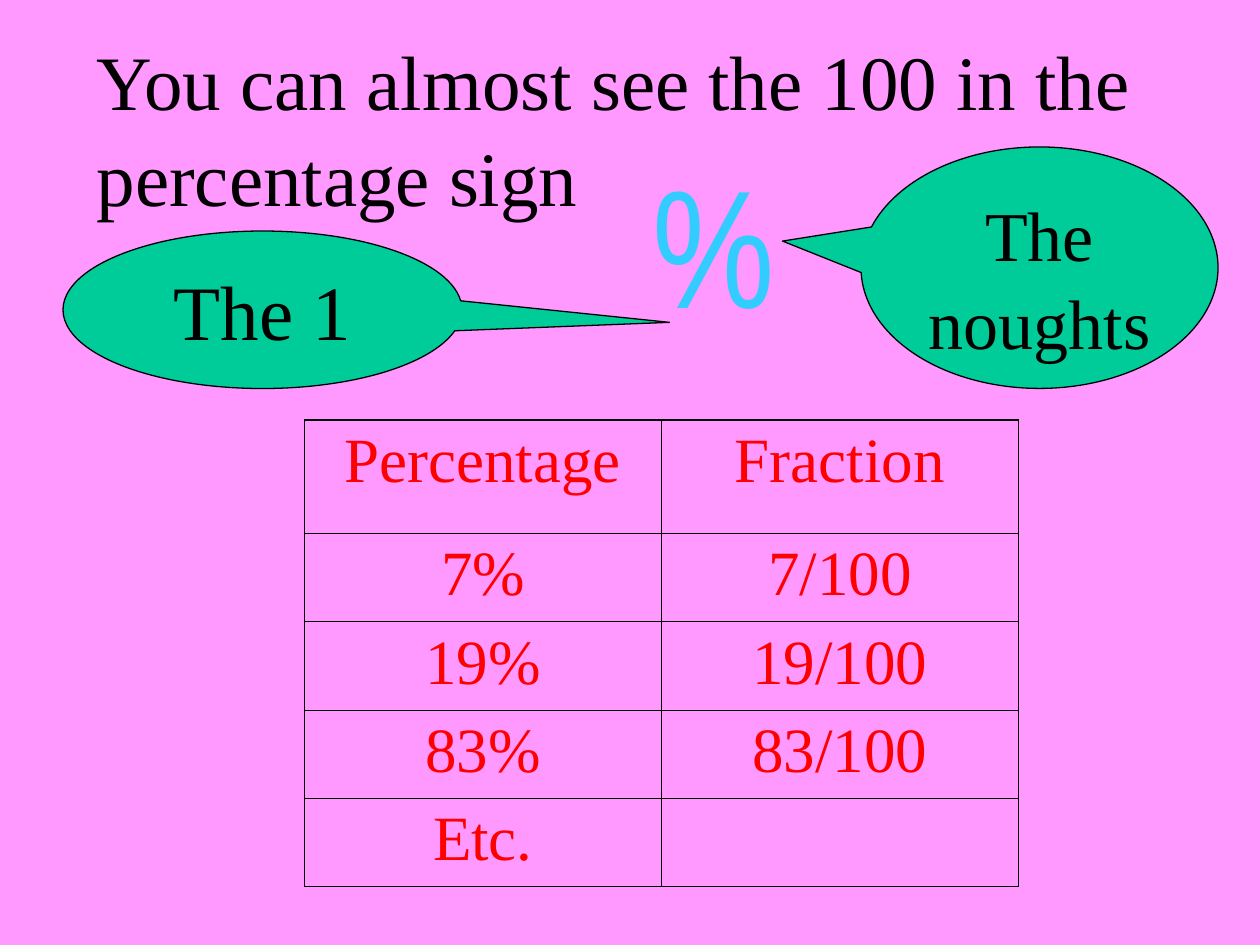
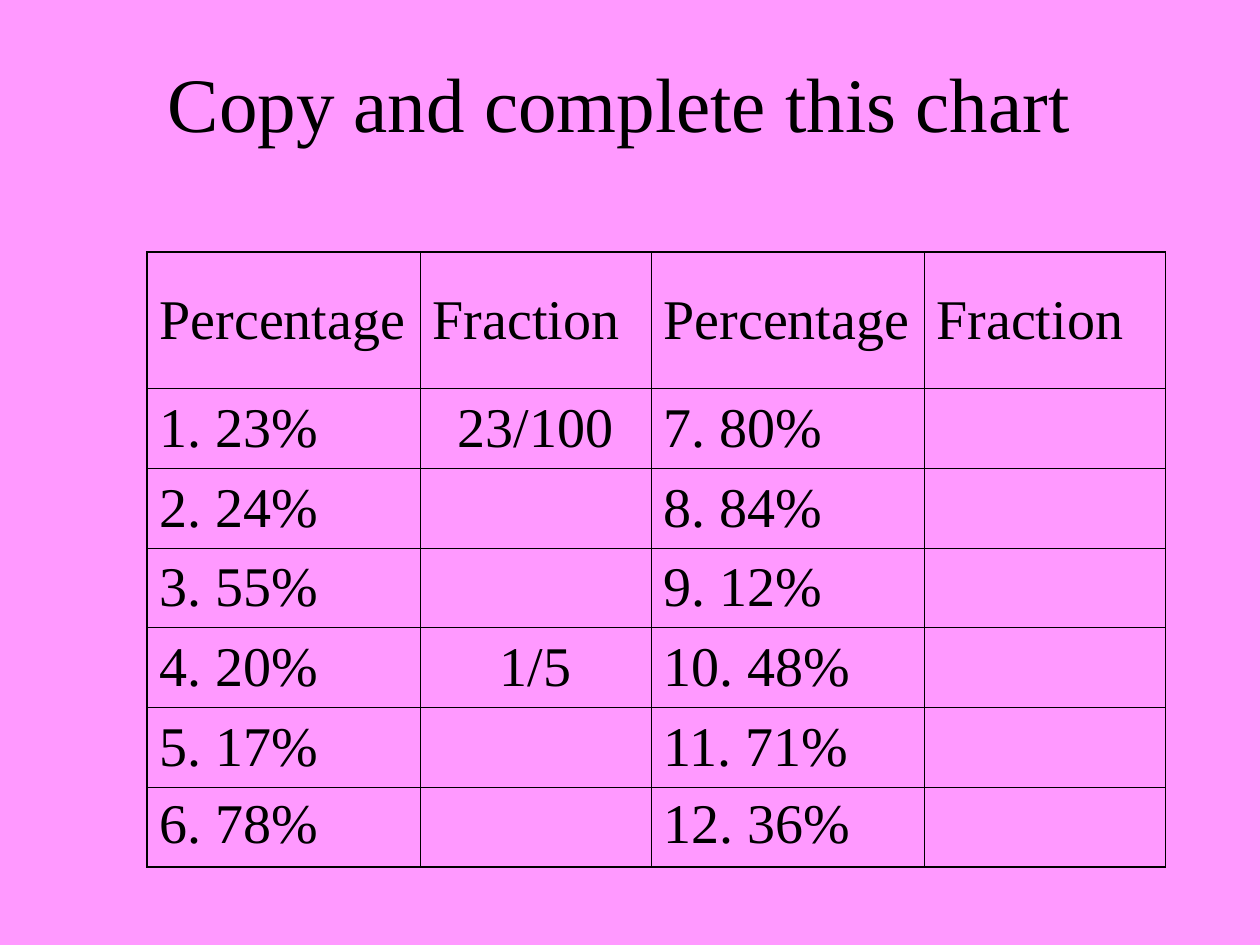
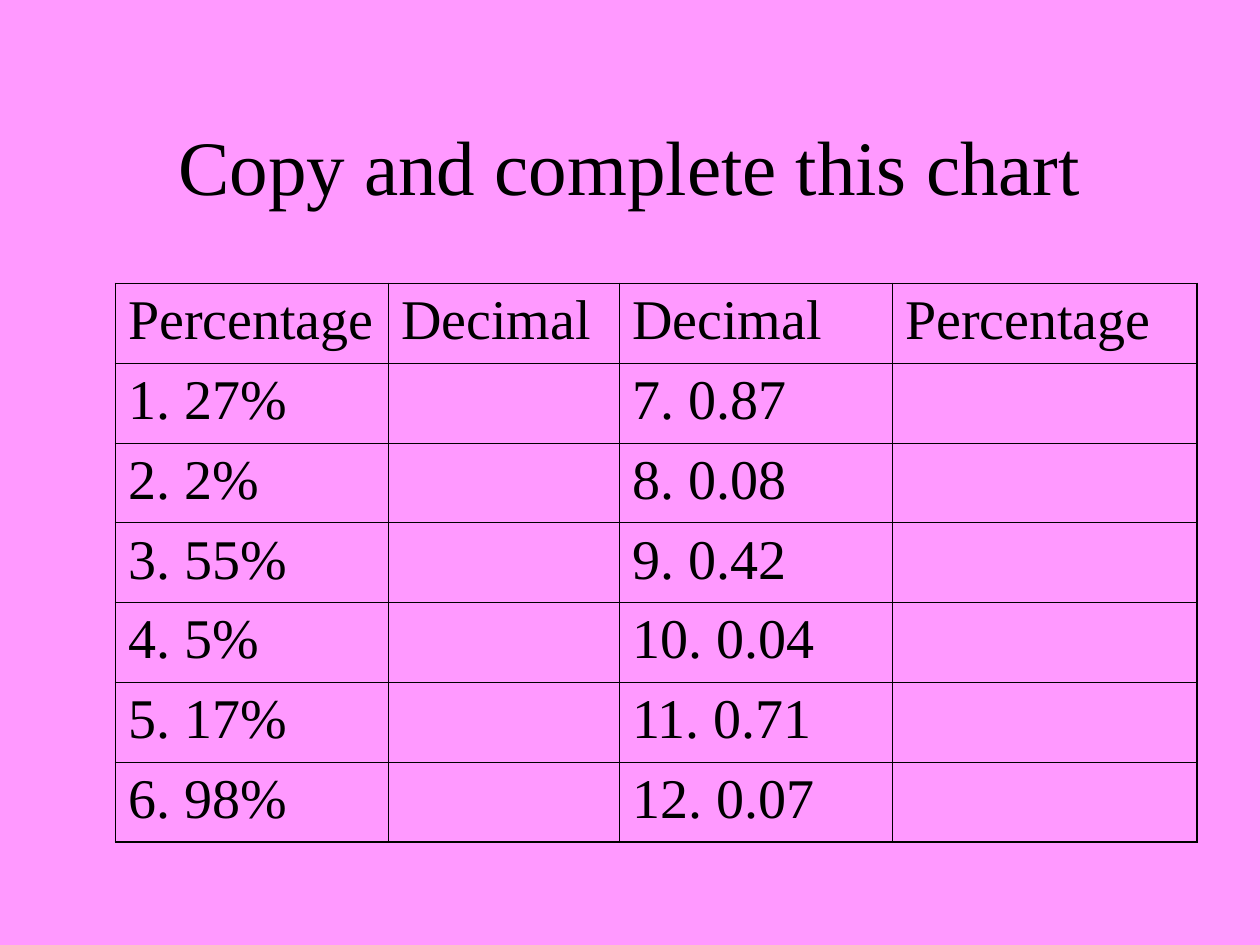
from dataclasses import dataclass

from lxml.etree import SubElement
from pptx import Presentation
from pptx.dml.color import RGBColor
from pptx.enum.shapes import MSO_SHAPE
from pptx.enum.text import MSO_ANCHOR, MSO_AUTO_SIZE, PP_ALIGN
from pptx.oxml.ns import qn
from pptx.util import Emu, Pt

EMU_PER_PX = 7620


@dataclass(frozen=True)
class Theme:
    background: str = "FF99FF"
    ink: str = "000000"
    callout: str = "00CC99"
    sign: str = "33CCFF"
    sign_edge: str = "000099"
    example: str = "FF0000"
    serif: str = "Times New Roman"
    narrow: str = "Arial Narrow"
    title_size: int = 44
    callout_size: int = 40
    sign_size: int = 96
    example_size: int = 36
    exercise_size: int = 32
    line_spacing: float = 1.04
    outer_rule: float = 1.08
    inner_rule: float = 0.45
    callout_rule: float = 0.75


def px(length):
    return Emu(length * EMU_PER_PX)


def apply(target, values):
    for name, value in values.items():
        setattr(target, name, value)


def add_line(parent, tag, width, color):
    line = SubElement(parent, qn(tag), w=str(Pt(width)))
    fill = SubElement(line, qn("a:solidFill"))
    SubElement(fill, qn("a:srgbClr"), val=color)
    return line


class LessonDeck:
    """Builds the lesson slides in one shared style."""

    def __init__(self, theme):
        self.theme = theme
        self.deck = Presentation()
        apply(self.deck, {"slide_width": px(1200), "slide_height": px(900)})
        fill = self.deck.slide_master.background.fill
        fill.solid()
        fill.fore_color.rgb = RGBColor.from_string(theme.background)
        self.page = None

    def add_text(self, frame, text, size, color=None, face=None,
                 align=PP_ALIGN.CENTER, spacing=None):
        para = frame.paragraphs[0]
        apply(para, {"alignment": align, "line_spacing": spacing})
        span = para.add_run()
        span.text = text
        apply(span.font, {"size": Pt(size), "name": face or self.theme.serif})
        span.font.color.rgb = RGBColor.from_string(color or self.theme.ink)
        return span

    def add_page(self, title, place, align=PP_ALIGN.CENTER):
        self.page = self.deck.slides.add_slide(self.deck.slide_layouts[5])
        box = self.page.shapes.title
        apply(box, dict(zip(("left", "top", "width", "height"), map(px, place))))
        apply(box.text_frame, {"word_wrap": True, "auto_size": MSO_AUTO_SIZE.NONE,
                               "vertical_anchor": MSO_ANCHOR.MIDDLE})
        self.add_text(box.text_frame, title, self.theme.title_size, align=align,
                      spacing=self.theme.line_spacing)

    def add_sign(self, text, place):
        theme = self.theme
        box = self.page.shapes.add_textbox(*map(px, place))
        box.text_frame.word_wrap = False
        span = self.add_text(box.text_frame, text, theme.sign_size, theme.sign,
                             theme.narrow, spacing=theme.line_spacing)
        properties = span.font._element
        properties.insert(0, add_line(properties, "a:ln", 1, theme.sign_edge))

    def add_callout(self, text, place, pointer, size):
        theme = self.theme
        box = self.page.shapes.add_shape(MSO_SHAPE.OVAL_CALLOUT, *map(px, place))
        box.shadow.inherit = False
        for index, value in enumerate(pointer):
            box.adjustments[index] = value
        box.fill.solid()
        box.fill.fore_color.rgb = RGBColor.from_string(theme.callout)
        box.line.color.rgb = RGBColor.from_string(theme.ink)
        box.line.width = Pt(theme.callout_rule)
        apply(box.text_frame, {"word_wrap": True, "vertical_anchor": MSO_ANCHOR.TOP})
        self.add_text(box.text_frame, text, size, spacing=theme.line_spacing)

    def add_grid(self, corner, widths, heights, rows, size, color=None,
                 align_for=None, anchor_for=None):
        place = (*corner, sum(widths), sum(heights))
        table = self.page.shapes.add_table(len(rows), len(widths), *map(px, place)).table
        apply(table, {"first_row": False, "horz_banding": False})
        for column, width in zip(table.columns, widths):
            column.width = px(width)
        for row, height in zip(table.rows, heights):
            row.height = px(height)
        last_row, last_column = len(rows) - 1, len(widths) - 1
        for r, texts in enumerate(rows):
            for c, text in enumerate(texts):
                cell = table.cell(r, c)
                cell.vertical_anchor = anchor_for(r) if anchor_for else MSO_ANCHOR.TOP
                self.rule_cell(cell, {"L": c == 0, "R": c == last_column,
                                      "T": r == 0, "B": r == last_row})
                cell.fill.background()
                if text:
                    align = align_for(r, c) if align_for else PP_ALIGN.LEFT
                    self.add_text(cell.text_frame, text, size, color, align=align)

    def rule_cell(self, cell, outer_sides):
        properties = cell._tc.get_or_add_tcPr()
        for side, outer in outer_sides.items():
            width = self.theme.outer_rule if outer else self.theme.inner_rule
            add_line(properties, f"a:ln{side}", width, self.theme.ink)


def add_percentage_sign(lesson):
    theme = lesson.theme
    lesson.add_page("You can almost see the 100 in the percentage sign",
                    (80, 40, 1020, 160), PP_ALIGN.LEFT)
    lesson.add_sign("%", (610, 120, 112, 224))
    lesson.add_callout("The 1", (60, 220, 380, 150), (1.02, 0.08), theme.title_size)
    lesson.add_callout("The noughts", (820, 140, 340, 230), (-0.72, -0.11),
                       theme.callout_size)
    rows = [("Percentage", "Fraction")]
    rows += [(f"{number}%", f"{number}/100") for number in (7, 19, 83)]
    rows.append(("Etc.", ""))
    lesson.add_grid((290, 400), (340, 340), [108] + [84] * 4, rows,
                    theme.example_size, theme.example,
                    align_for=lambda r, c: PP_ALIGN.CENTER)


def add_fraction_exercise(lesson):
    lesson.add_page("Copy and complete this chart", (80, 20, 1020, 150))
    rows = [
        ("Percentage", "Fraction", "Percentage", "Fraction"),
        ("1. 23%", "23/100", "7. 80%", ""),
        ("2. 24%", "", "8. 84%", ""),
        ("3. 55%", "", "9. 12%", ""),
        ("4. 20%", "1/5", "10. 48%", ""),
        ("5. 17%", "", "11. 71%", ""),
        ("6. 78%", "", "12. 36%", ""),
    ]
    lesson.add_grid(
        (140, 240), (260, 220, 260, 230), [130] + [76] * 6, rows,
        lesson.theme.exercise_size,
        align_for=lambda r, c: PP_ALIGN.CENTER if r and c == 1 else PP_ALIGN.LEFT,
        anchor_for=lambda r: MSO_ANCHOR.MIDDLE if r < 6 else MSO_ANCHOR.TOP)


def add_decimal_exercise(lesson):
    lesson.add_page("Copy and complete this chart", (90, 80, 1020, 150))
    rows = [
        ("Percentage", "Decimal", "Decimal", "Percentage"),
        ("1. 27%", "", "7. 0.87", ""),
        ("2. 2%", "", "8. 0.08", ""),
        ("3. 55%", "", "9. 0.42", ""),
        ("4. 5%", "", "10. 0.04", ""),
        ("5. 17%", "", "11. 0.71", ""),
        ("6. 98%", "", "12. 0.07", ""),
    ]
    lesson.add_grid((110, 270), (260, 220, 260, 290), [76] * 7, rows,
                    lesson.theme.exercise_size)


def main():
    lesson = LessonDeck(Theme())
    add_percentage_sign(lesson)
    add_fraction_exercise(lesson)
    add_decimal_exercise(lesson)
    lesson.deck.save("out.pptx")


if __name__ == "__main__":
    main()
